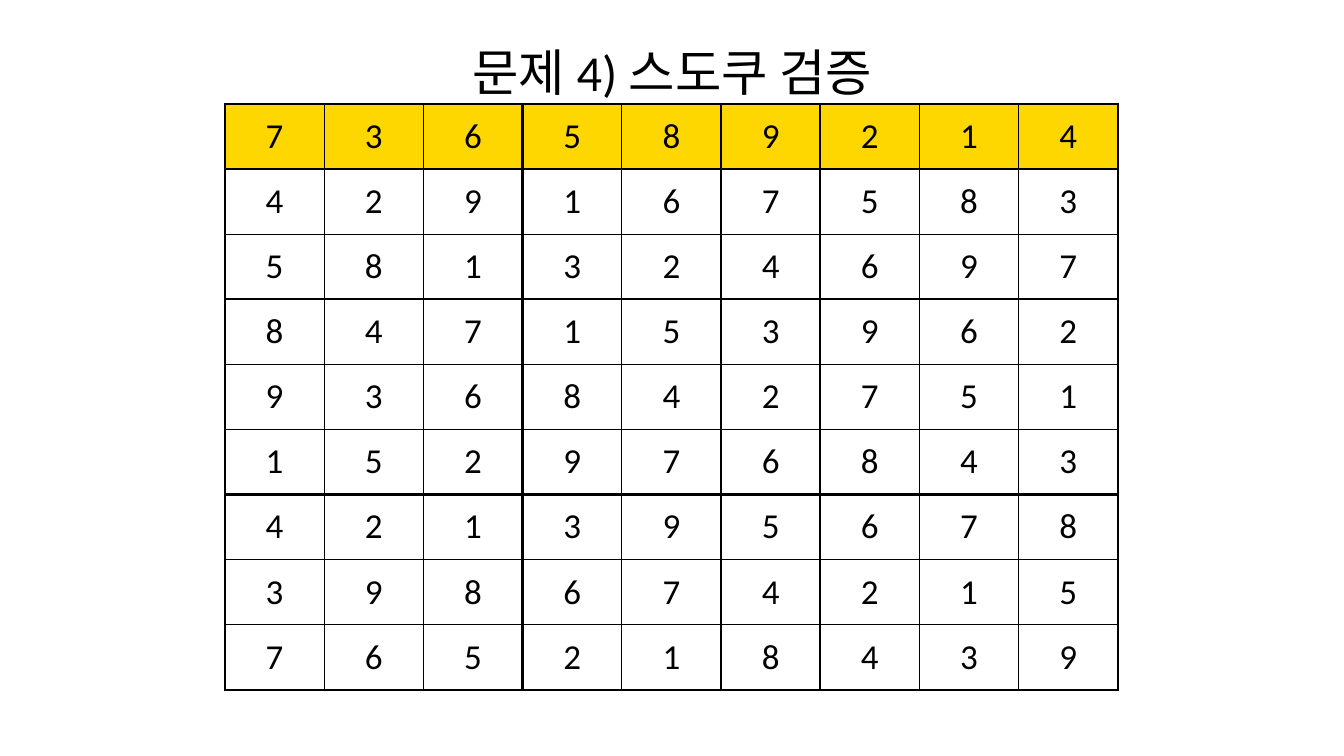
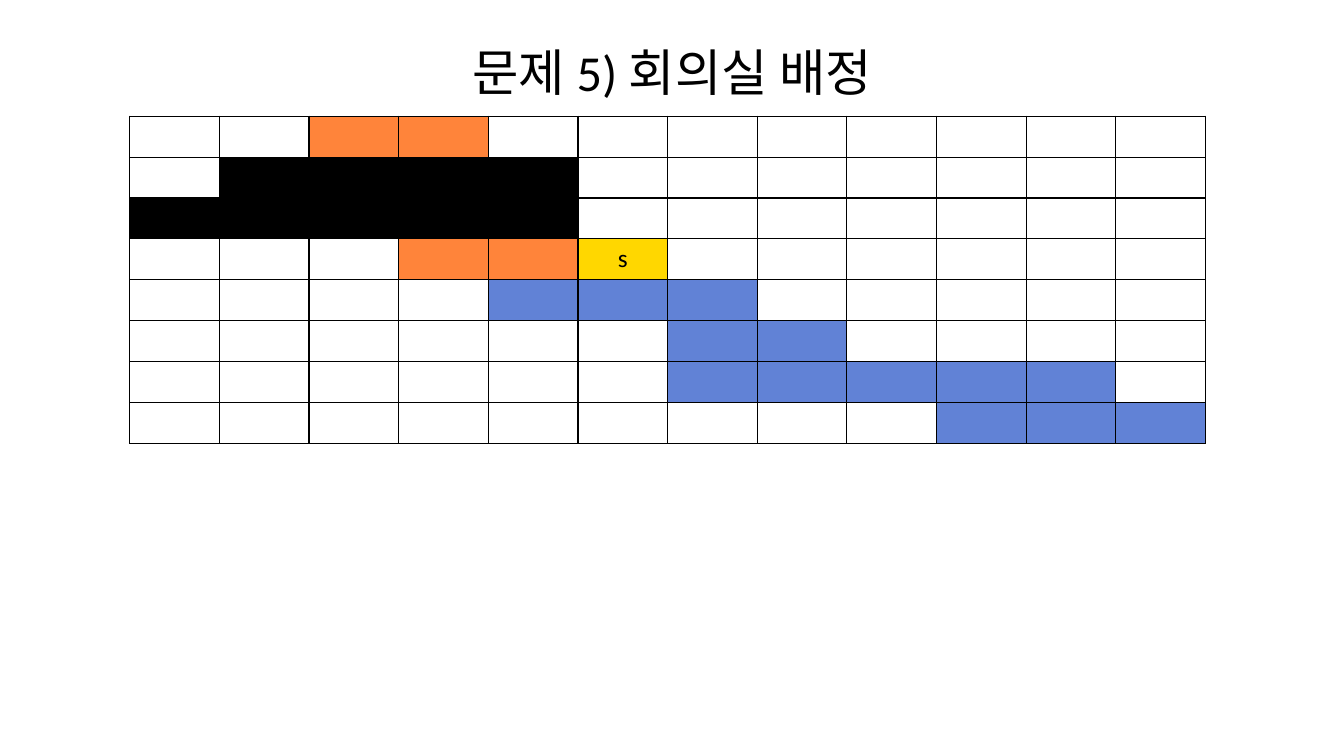
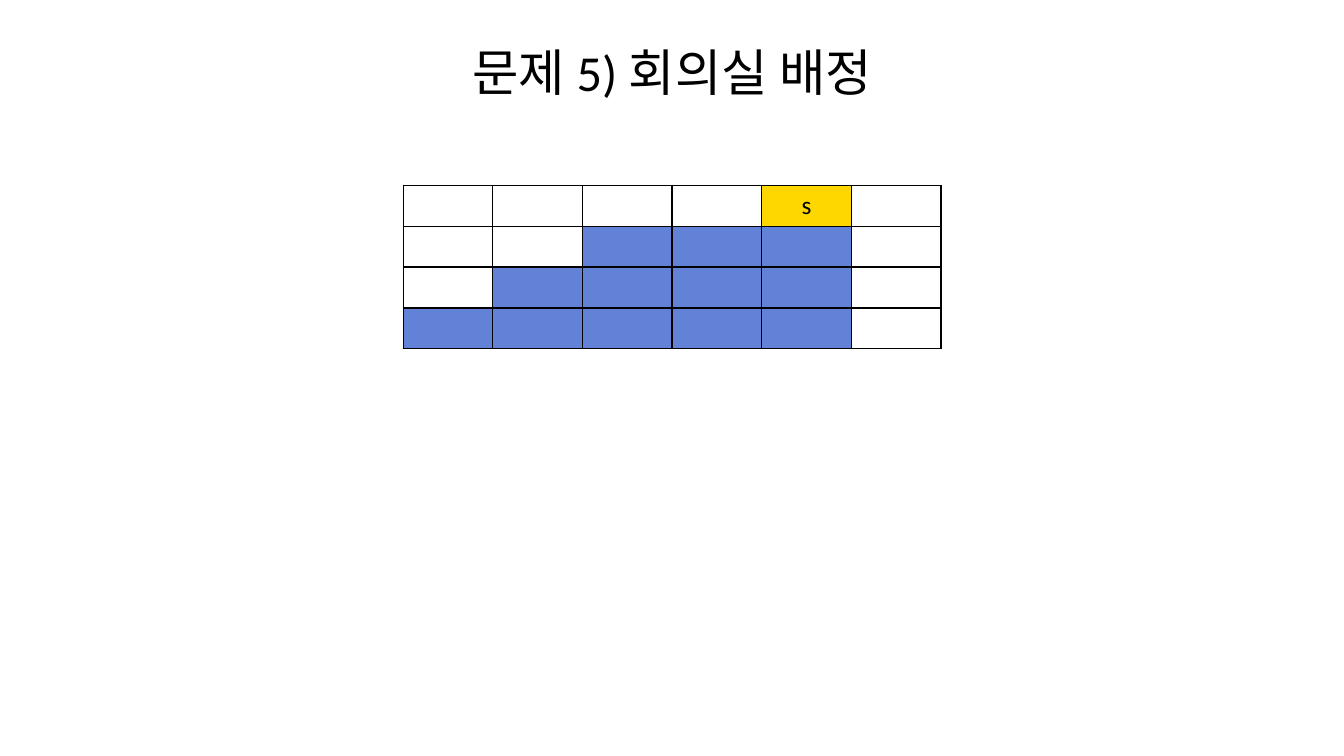
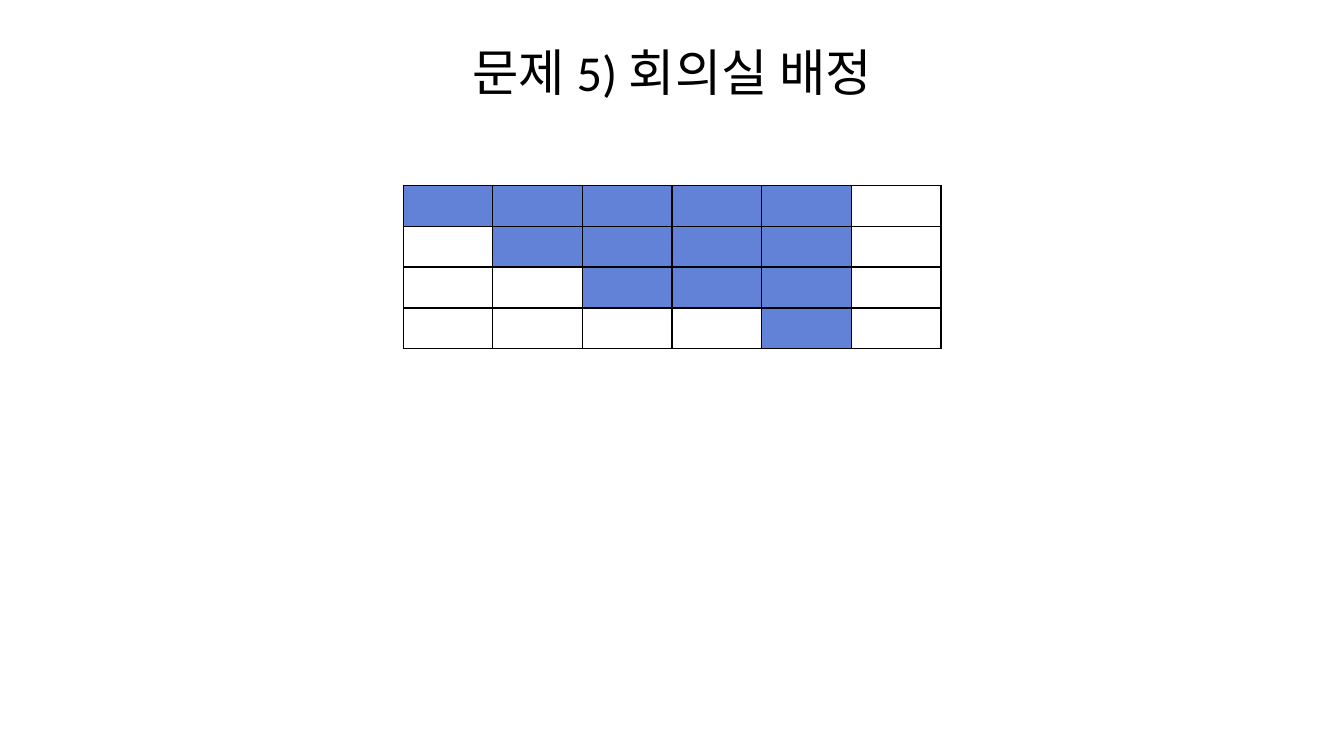
"""Four slides of coloured grids: a sudoku check and meeting room assignments."""
import lxml.etree
import pptx
import pptx.dml.color
import pptx.enum.text
import pptx.oxml.ns
import pptx.util
from pptx.util import Cm

FONT = "Calibri"
BLACK = "000000"
FILLS = {".": "FFFFFF", "o": "FF843A", "k": BLACK, "b": "6182D6", "s": "FFD700"}
MIDDLE = pptx.enum.text.MSO_ANCHOR.MIDDLE
TOP = pptx.enum.text.MSO_ANCHOR.TOP


def add_text(tf, text, size):
    p = tf.paragraphs[0]
    p.alignment = pptx.enum.text.PP_ALIGN.CENTER
    r = p.add_run()
    r.text = text
    r.font.name = FONT
    r.font.size = pptx.util.Pt(size)
    r.font.color.rgb = pptx.dml.color.RGBColor.from_string(BLACK)


def add_border(cell, side, width):
    qn = pptx.oxml.ns.qn
    ln = lxml.etree.SubElement(cell._tc.get_or_add_tcPr(), qn("a:ln" + side),
                               w=str(pptx.util.Pt(width)))
    fill = lxml.etree.SubElement(ln, qn("a:solidFill"))
    lxml.etree.SubElement(fill, qn("a:srgbClr"), val=BLACK)


sudoku = ["736589214", "429167583", "581324697",
          "847153962", "936842751", "152976843",
          "421395678", "398674215", "765218439"]
rooms = ["..oo........",
         ".kkkk.......",
         "kkkkk.......",
         "...oos......",
         "....bbb.....",
         "......bb....",
         "......bbbbb.",
         ".........bbb"]
by_end = ["....s.", "..bbb.", ".bbbb.", "bbbbb."]
by_start = ["bbbbb.", ".bbbb.", "..bbb.", "....b."]

room_title = "문제 5) 회의실 배정"
room_cell = (2.26, 1.03)
slides = [
    ("문제 4) 스도쿠 검증", (5.67, 2.62), (2.5, 1.64), ["s" * 9] + ["." * 9] * 8, sudoku),
    (room_title, (3.27, 2.93), room_cell, rooms, None),
    (room_title, (10.16, 4.67), room_cell, by_end, None),
    (room_title, (10.16, 4.67), room_cell, by_start, None),
]

prs = pptx.Presentation()
prs.slide_width, prs.slide_height = Cm(33.87), Cm(19.05)
layout = prs.slide_layouts[5]
sp = layout.placeholders[0]
sp.left, sp.top, sp.width, sp.height = Cm(1.7), Cm(1.02), Cm(30.48), Cm(1.57)
sp.text_frame.vertical_anchor = MIDDLE
sp.text_frame.auto_size = pptx.enum.text.MSO_AUTO_SIZE.NONE

for title, (left, top), (col_w, row_h), colours, digits in slides:
    s = prs.slides.add_slide(layout)
    add_text(s.shapes.title.text_frame, title, 36)
    n_rows, n_cols = len(colours), len(colours[0])
    tbl = s.shapes.add_table(n_rows, n_cols, Cm(left), Cm(top),
                             Cm(col_w * n_cols), Cm(row_h * n_rows)).table
    tbl.first_row = tbl.horz_banding = False
    for col in tbl.columns:
        col.width = Cm(col_w)
    for row in tbl.rows:
        row.height = Cm(row_h)
    for i, line in enumerate(colours):
        for j, key in enumerate(line):
            cell = tbl.cell(i, j)
            for side, edge in (("L", j), ("R", j + 1), ("T", i), ("B", i + 1)):
                add_border(cell, side, 2 if digits and edge % 3 == 0 else 1)
            cell.fill.solid()
            cell.fill.fore_color.rgb = pptx.dml.color.RGBColor.from_string(FILLS[key])
            cell.vertical_anchor = MIDDLE if digits else TOP
            if digits:
                add_text(cell.text_frame, digits[i][j], 25)
            elif key == "s":
                add_text(cell.text_frame, key, 18)

prs.save("out.pptx")
